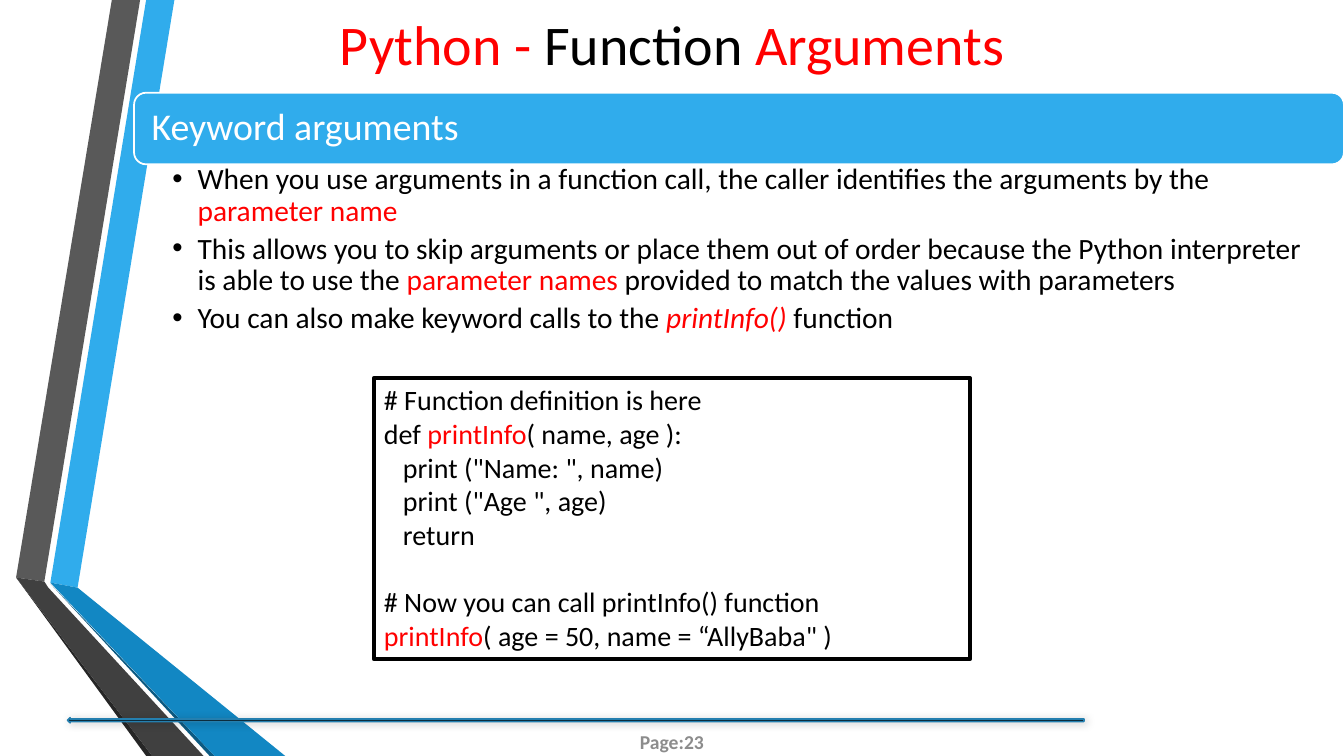
import pptx
import pptx.util
import pptx.dml.color
import pptx.enum.shapes
import pptx.enum.text
from lxml import etree
from pptx.util import Inches, Pt

COLORS = {
    "sky": "30ACEC", "blue": "1287C3", "navy": "0C5A82", "edge": "247FAF",
    "gray": "595959", "dark": "404040", "coal": "262626", "page": "8C8C8C",
    "red": "FF0000", "black": "000000", "white": "FFFFFF",
}
SHAPE = pptx.enum.shapes.MSO_SHAPE
ALIGN = pptx.enum.text.PP_ALIGN
ANCHOR = pptx.enum.text.MSO_ANCHOR
NS = "http://schemas.openxmlformats.org/drawingml/2006/main"


def rgb(name):
    return pptx.dml.color.RGBColor.from_string(COLORS[name])


def write(shape, lines, size, color, insets=(0.1, 0.05, 0.1, 0.05),
          anchor=ANCHOR.TOP, align=ALIGN.LEFT):
    """Fill a shape with lines of text; each line lists (text, color) runs,
    where a color of None means the default."""
    frame = shape.text_frame
    frame.word_wrap = True
    frame.vertical_anchor = anchor
    (frame.margin_left, frame.margin_top,
     frame.margin_right, frame.margin_bottom) = map(Inches, insets)
    for i, line in enumerate(lines):
        para = frame.add_paragraph() if i else frame.paragraphs[0]
        para.alignment = align
        for text, tint in line:
            run = para.add_run()
            run.text = text
            run.font.size = Pt(size)
            run.font.name = "Calibri"
            run.font.color.rgb = rgb(tint or color)
    return frame.paragraphs


deck = pptx.Presentation()
deck.slide_width, deck.slide_height = Inches(13.33), Inches(7.5)
slide = deck.slides.add_slide(deck.slide_layouts[6])
shapes = slide.shapes

# Folded ribbons on the left
ribbons = [
    ("sky", [(0.5, 5.78), (0.77, 5.83), (1.73, 0), (1.45, 0)]),
    ("gray", [(1.39, 0), (1.11, 0), (0.16, 5.73), (0.44, 5.77)]),
    ("coal", [(0.16, 5.73), (1.45, 7.5), (1.51, 7.5)]),
    ("navy", [(0.5, 5.79), (2.08, 7.5), (2.13, 7.5)]),
    ("blue", [(0.5, 5.78), (2.13, 7.5), (2.83, 7.5), (0.77, 5.83)]),
    ("dark", [(2.02, 7.5), (0.48, 5.83), (0.44, 5.77), (0.16, 5.73),
              (1.51, 7.5)]),
]
for color, points in ribbons:
    first, *rest = [(Inches(x), Inches(y)) for x, y in points]
    pen = shapes.build_freeform(*first)
    pen.add_line_segments(rest, close=True)
    ribbon = pen.convert_to_shape()
    ribbon.shadow.inherit = False
    ribbon.fill.solid()
    ribbon.fill.fore_color.rgb = rgb(color)
    ribbon.line.fill.background()

# Footer
page = shapes.add_textbox(Inches(5.78), Inches(7.16), Inches(1.77), Inches(0.4))
paras = write(page, [[("Page:23", None)]], 14, "page",
              (0.04, 0.02, 0.04, 0.02), ANCHOR.MIDDLE, ALIGN.CENTER)
paras[0].runs[0].font.bold = True

rule = shapes.add_shape(SHAPE.LEFT_ARROW, Inches(0.67), Inches(7.12),
                        Inches(10.08), Inches(0.05))
rule.shadow.inherit = False
rule.fill.solid()
rule.fill.fore_color.rgb = rgb("black")
rule.line.color.rgb = rgb("edge")
rule.line.width = Pt(1.25)
glow = etree.SubElement(rule._element.spPr.find(f"{{{NS}}}effectLst"),
                        f"{{{NS}}}outerShdw", blurRad=str(Pt(6)),
                        dist=str(Pt(1)), dir="2700000", rotWithShape="0")
tint = etree.SubElement(glow, f"{{{NS}}}srgbClr", val=COLORS["black"])
etree.SubElement(tint, f"{{{NS}}}alpha", val="20000")

# Title and heading band
title = shapes.add_textbox(0, 0, Inches(13.33), Inches(0.86))
write(title, [[("Python - ", "red"), ("Function ", None), ("Arguments", "red")]],
      40, "black", anchor=ANCHOR.MIDDLE, align=ALIGN.CENTER)

band = shapes.add_shape(SHAPE.ROUNDED_RECTANGLE, Inches(1.33), Inches(0.92),
                        Inches(12), Inches(0.71))
band.shadow.inherit = False
band.fill.solid()
band.fill.fore_color.rgb = rgb("sky")
band.line.color.rgb = rgb("white")
band.line.width = Pt(1.25)
paras = write(band, [[("Keyword arguments", None)]], 27, "white",
              (0.14, 0.14, 0.14, 0.14), ANCHOR.MIDDLE)
paras[0].line_spacing = 0.9

# Bullets
points = [
    [("When you use arguments in a function call, the caller identifies "
      "the arguments by the ", None), ("parameter name", "red")],
    [("This allows you to skip arguments or place them out of order because "
      "the Python interpreter is able to use the ", None),
     ("parameter names", "red"),
     (" provided to match the values with parameters", None)],
    [("You can also make keyword calls to the ", None),
     ("printInfo()", "red"), (" function", None)],
]
body = shapes.add_textbox(Inches(1.33), Inches(1.59), Inches(12), Inches(1.83))
paras = write(body, points, 21, "black", (0.38, 0.04, 0.21, 0.04))
for para in paras:
    props = para._p.get_or_add_pPr()
    props.set("marL", str(Inches(0.25)))
    props.set("indent", str(-Inches(0.25)))
    etree.SubElement(props, f"{{{NS}}}buFont", typeface="Arial")
    etree.SubElement(props, f"{{{NS}}}buChar", char="•")
    para.line_spacing = 0.9
    para.space_after = Pt(4.2)
paras[2].runs[1].font.italic = True

# Code box
code = [
    [("# Function definition is here", None)],
    [("def ", None), ("printInfo", "red"), ("( name, age ):", None)],
    [('   print ("Name: ", name)', None)],
    [('   print ("Age ", age)', None)],
    [("   return", None)],
    [("# Now you can call printInfo() function", None)],
    [("printInfo", "red"), ('( age = 50, name = “AllyBaba" )', None)],
]
box = shapes.add_shape(SHAPE.RECTANGLE, Inches(3.71), Inches(3.75),
                       Inches(5.91), Inches(2.79))
box.shadow.inherit = False
box.fill.background()
box.line.color.rgb = rgb("black")
box.line.width = Pt(3)
paras = write(box, code, 20, "black")
paras[5].space_before = Pt(24)

deck.save("out.pptx")
